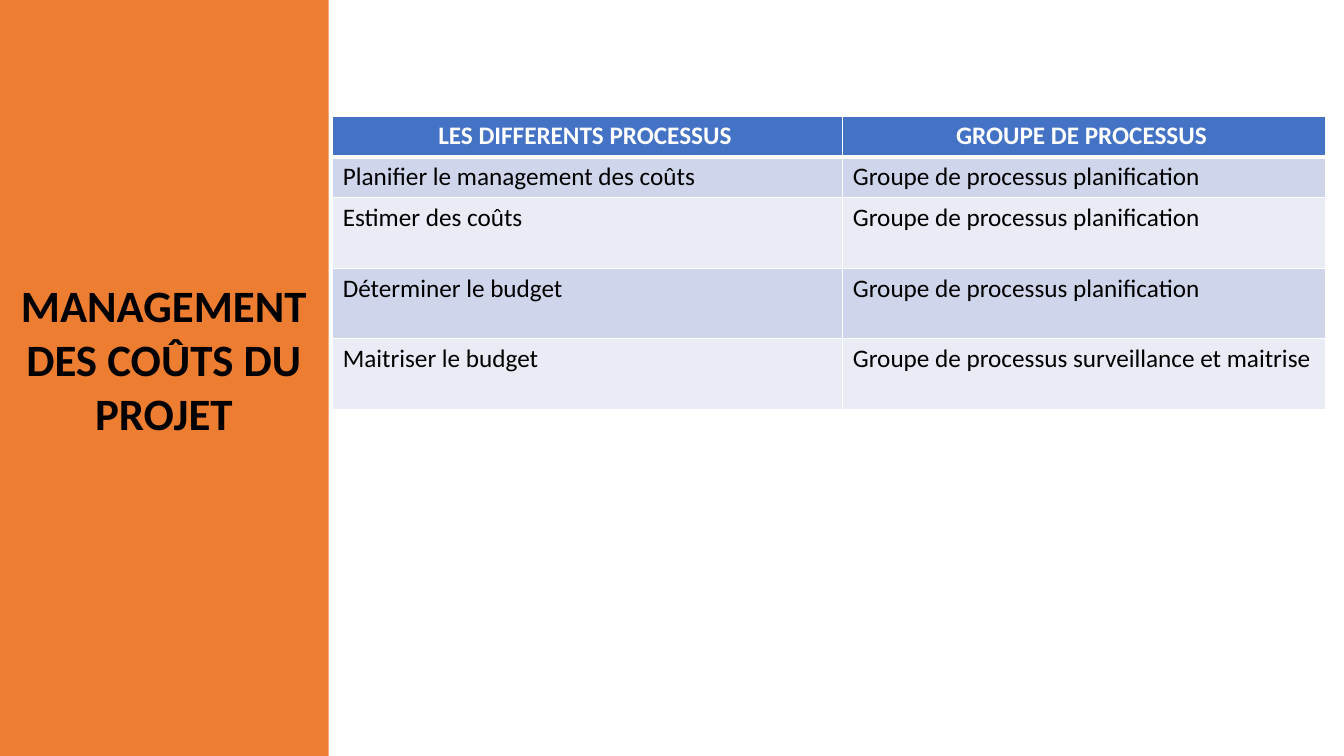
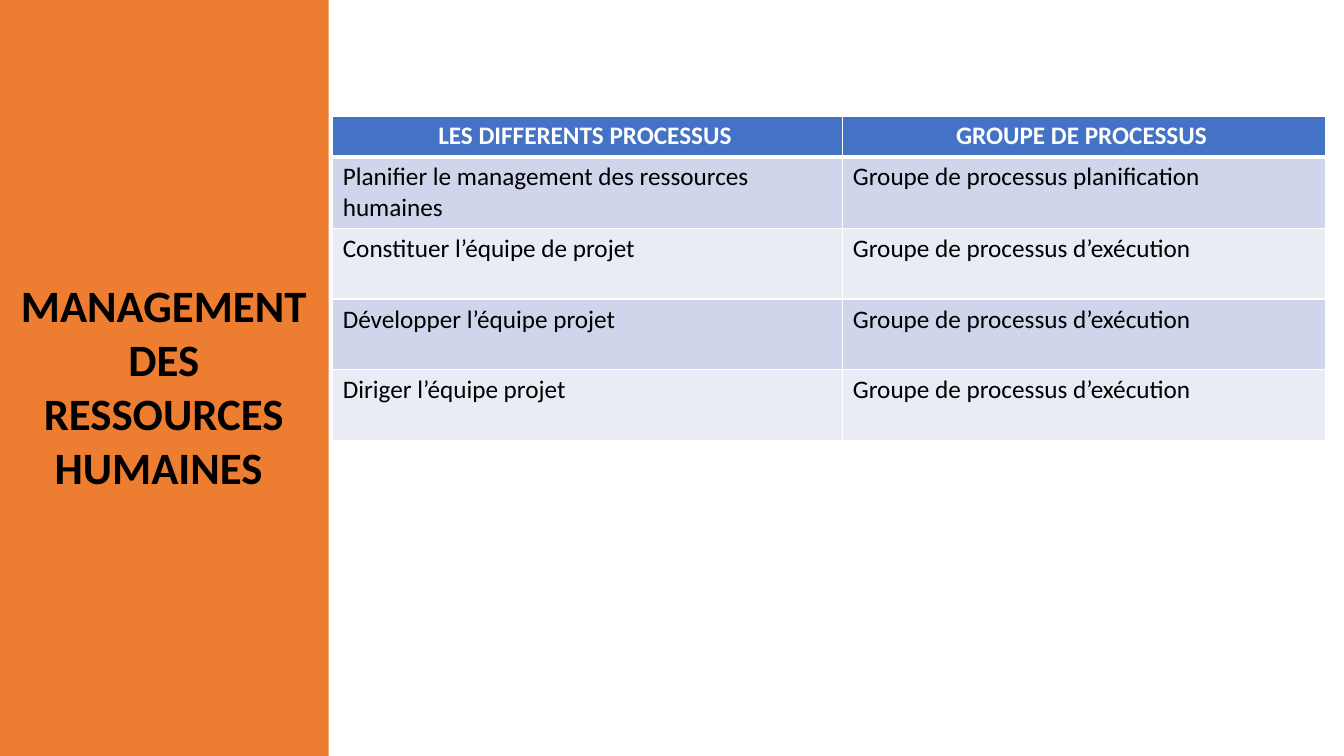
import pptx
import pptx.dml.color
import pptx.enum.shapes
import pptx.enum.text
import pptx.oxml
import pptx.oxml.ns
import pptx.util
from pptx.util import Inches

COLORS = {
    "band": "ED7D31",
    "header": "4472C4",
    "odd_row": "CFD5EA",
    "even_row": "E9EBF5",
    "white": "FFFFFF",
    "black": "000000",
}
FONT_NAME = "Calibri"
CENTER = pptx.enum.text.PP_ALIGN.CENTER
LEFT = pptx.enum.text.PP_ALIGN.LEFT

TITLE_FORMAT = {"size": 32, "bold": True, "color": "black", "alignment": CENTER}
HEADER_FORMAT = {"size": 18, "bold": True, "color": "white", "alignment": CENTER}
BODY_FORMAT = {"size": 18, "bold": False, "color": "black", "alignment": LEFT}

COLUMN_WIDTHS = (5.06, 4.79)
HEADERS = ("LES DIFFERENTS PROCESSUS ", "GROUPE DE PROCESSUS ")
PLANNING = "Groupe de processus planification"
EXECUTION = "Groupe de processus d’exécution"
MONITORING = "Groupe de processus surveillance et maitrise"

SLIDES = (
    {
        "title": "MANAGEMENT DES COÛTS DU PROJET",
        "title_height": 1.72,
        "row_heights": (0.4, 0.4, 0.7, 0.7, 0.7),
        "rows": (
            ("Planifier le management des coûts", PLANNING),
            ("Estimer des coûts", PLANNING),
            ("Déterminer le budget", PLANNING),
            ("Maitriser le budget", MONITORING),
        ),
    },
    {
        "title": "MANAGEMENT DES RESSOURCES HUMAINES ",
        "title_height": 2.26,
        "row_heights": (0.4, 0.7, 0.7, 0.7, 0.7),
        "rows": (
            ("Planifier le management des ressources humaines", PLANNING),
            ("Constituer l’équipe de projet", EXECUTION),
            ("Développer l’équipe projet", EXECUTION),
            ("Diriger l’équipe projet", EXECUTION),
        ),
    },
)


def get_color(name):
    return pptx.dml.color.RGBColor.from_string(COLORS[name])


def set_text(text_frame, text, text_format):
    text_frame.text = text
    paragraph = text_frame.paragraphs[0]
    paragraph.alignment = text_format["alignment"]
    font = paragraph.runs[0].font
    values = {
        "name": FONT_NAME,
        "size": pptx.util.Pt(text_format["size"]),
        "bold": text_format["bold"],
    }
    for attribute, value in values.items():
        setattr(font, attribute, value)
    font.color.rgb = get_color(text_format["color"])


def add_band(slide):
    """Draw the left band behind everything else on the slide."""
    band = slide.shapes.add_shape(
        pptx.enum.shapes.MSO_SHAPE.RECTANGLE, 0, 0, Inches(3.26), Inches(7.5)
    )
    band.shadow.inherit = False
    band.fill.solid()
    band.fill.fore_color.rgb = get_color("band")
    band.line.fill.background()
    slide.shapes._spTree.insert(2, band._element)


def set_title(slide, text, height):
    title = slide.shapes.title
    box = {"left": -0.05, "top": 2.71, "width": 3.35, "height": height}
    for attribute, value in box.items():
        setattr(title, attribute, Inches(value))
    title.text_frame.word_wrap = True
    title.text_frame.auto_size = pptx.enum.text.MSO_AUTO_SIZE.NONE
    title.text_frame.vertical_anchor = pptx.enum.text.MSO_ANCHOR.TOP
    set_text(title.text_frame, text, TITLE_FORMAT)


def set_borders(cell, widths):
    """Give the cell white borders; widths maps each side to points."""
    properties = cell._tc.get_or_add_tcPr()
    for index, (side, width) in enumerate(widths.items()):
        line = pptx.oxml.parse_xml(
            f'<a:ln{side} {pptx.oxml.ns.nsdecls("a")} w="{pptx.util.Pt(width)}">'
            f'<a:solidFill><a:srgbClr val="{COLORS["white"]}"/></a:solidFill>'
            f"</a:ln{side}>"
        )
        properties.insert(index, line)


def fill_row(cells, texts, fill, text_format, borders):
    for cell, text in zip(cells, texts):
        set_text(cell.text_frame, text, text_format)
        cell.fill.solid()
        cell.fill.fore_color.rgb = get_color(fill)
        set_borders(cell, borders)


def add_process_table(slide, rows, row_heights):
    table = slide.shapes.add_table(
        len(rows) + 1,
        len(HEADERS),
        Inches(3.3),
        Inches(1.15),
        Inches(sum(COLUMN_WIDTHS)),
        Inches(sum(row_heights)),
    ).table
    for column, width in zip(table.columns, COLUMN_WIDTHS):
        column.width = Inches(width)
    for row, height in zip(table.rows, row_heights):
        row.height = Inches(height)

    header_borders = {"L": 1, "R": 1, "T": 1, "B": 3}
    fill_row(table.rows[0].cells, HEADERS, "header", HEADER_FORMAT, header_borders)
    for number, texts in enumerate(rows, start=1):
        fill = "odd_row" if number % 2 else "even_row"
        borders = {"L": 1, "R": 1, "T": 3 if number == 1 else 1, "B": 1}
        fill_row(table.rows[number].cells, texts, fill, BODY_FORMAT, borders)


def main():
    presentation = pptx.Presentation()
    presentation.slide_width = Inches(13.33)
    presentation.slide_height = Inches(7.5)
    title_only = presentation.slide_layouts.get_by_name("Title Only")
    for content in SLIDES:
        slide = presentation.slides.add_slide(title_only)
        add_band(slide)
        set_title(slide, content["title"], content["title_height"])
        add_process_table(slide, content["rows"], content["row_heights"])
    presentation.save("out.pptx")


if __name__ == "__main__":
    main()
